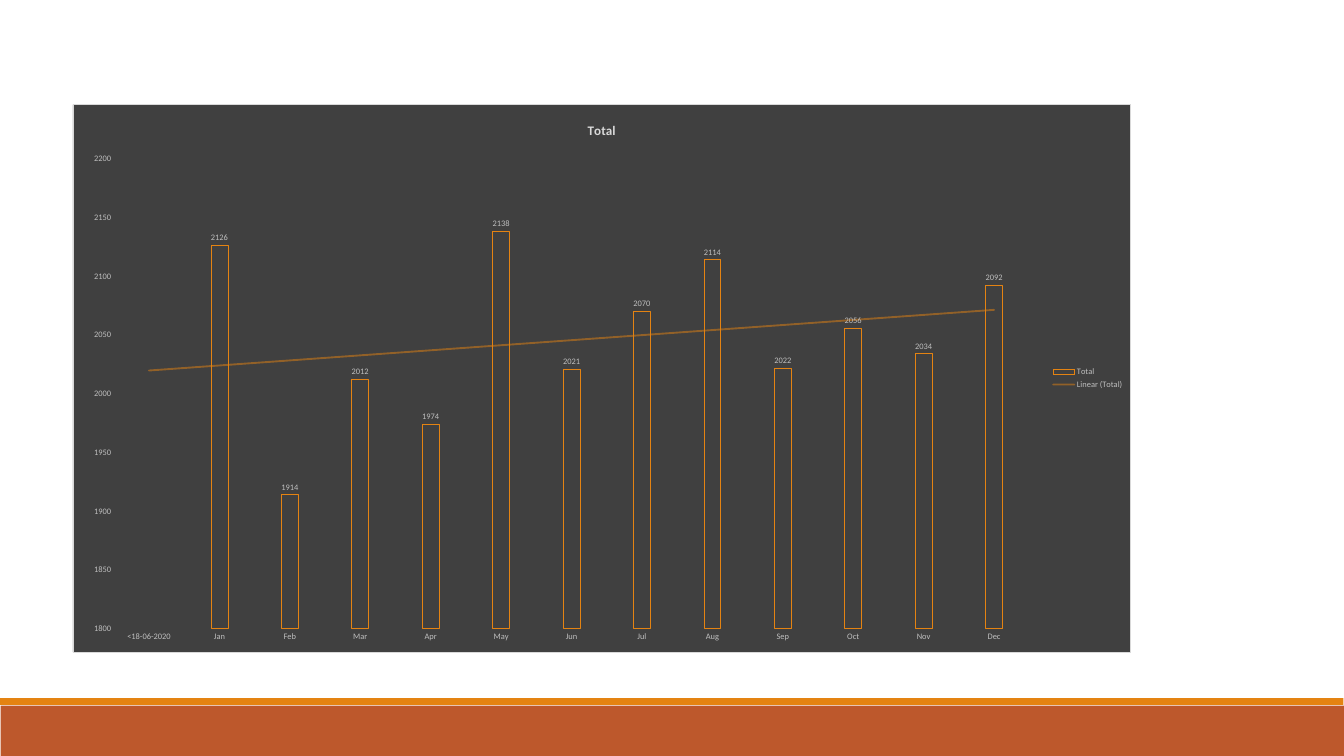
from dataclasses import dataclass

from lxml.etree import _Element
from pptx import Presentation
from pptx.chart.chart import Chart
from pptx.chart.data import CategoryChartData
from pptx.dml.color import RGBColor
from pptx.enum.chart import (XL_CHART_TYPE, XL_LABEL_POSITION,
                             XL_LEGEND_POSITION, XL_TICK_MARK)
from pptx.enum.shapes import MSO_SHAPE
from pptx.oxml import parse_xml
from pptx.oxml.ns import nsdecls, qn
from pptx.slide import Slide
from pptx.text.text import Font
from pptx.util import Inches, Pt


@dataclass(frozen=True)
class Theme:
    font: str = "Calibri"
    rust: str = "BD582C"
    orange: str = "E48312"
    panel: str = "404040"
    title: str = "D9D9D9"
    label: str = "BFBFBF"
    title_size: int = 14
    label_size: int = 9


@dataclass(frozen=True)
class Band:
    left: float
    top: float
    width: float
    height: float
    color: str


THEME = Theme()
BANDS = (
    Band(0.01, 10.5, 19.99, 0.75, THEME.rust),
    Band(0, 10.39, 19.99, 0.1, THEME.orange),
)
MONTHLY_TOTALS = {
    "<18-06-2020": None, "Jan": 2126, "Feb": 1914, "Mar": 2012, "Apr": 1974,
    "May": 2138, "Jun": 2021, "Jul": 2070, "Aug": 2114, "Sep": 2022,
    "Oct": 2056, "Nov": 2034, "Dec": 2092,
}


def add_band(slide: Slide, band: Band) -> None:
    shape = slide.shapes.add_shape(
        MSO_SHAPE.RECTANGLE, Inches(band.left), Inches(band.top),
        Inches(band.width), Inches(band.height))
    shape.shadow.inherit = False
    shape.fill.solid()
    shape.fill.fore_color.rgb = RGBColor.from_string(band.color)
    shape.line.fill.background()


def style_font(font: Font, size: int, color: str, bold: bool = False) -> None:
    font.name = THEME.font
    font.size = Pt(size)
    font.bold = bold
    font.color.rgb = RGBColor.from_string(color)


def chart_area() -> _Element:
    return parse_xml(
        f'<c:spPr {nsdecls("c", "a")}>'
        f'<a:solidFill><a:srgbClr val="{THEME.panel}"/></a:solidFill>'
        f'<a:ln w="{Pt(0.75)}"><a:solidFill><a:srgbClr val="{THEME.title}"/>'
        '</a:solidFill></a:ln></c:spPr>')


def linear_trend() -> _Element:
    return parse_xml(
        f'<c:trendline {nsdecls("c", "a")}><c:spPr><a:ln w="{Pt(2)}" cap="rnd">'
        f'<a:solidFill><a:srgbClr val="{THEME.orange}"><a:alpha val="50000"/>'
        '</a:srgbClr></a:solidFill><a:prstDash val="solid"/></a:ln></c:spPr>'
        '<c:trendlineType val="linear"/><c:dispRSqr val="0"/>'
        '<c:dispEq val="0"/></c:trendline>')


def style_axes(chart: Chart) -> None:
    for axis in (chart.category_axis, chart.value_axis):
        axis.major_tick_mark = axis.minor_tick_mark = XL_TICK_MARK.NONE
        axis.has_major_gridlines = False
        axis.format.line.fill.background()
        style_font(axis.tick_labels.font, THEME.label_size, THEME.label)
    chart.value_axis.minimum_scale = 1800
    chart.value_axis.maximum_scale = 2200
    chart.value_axis.major_unit = 50


def style_columns(chart: Chart) -> None:
    plot = chart.plots[0]
    plot.gap_width = 315
    plot.overlap = -40
    plot.vary_by_categories = False
    series = plot.series[0]
    series.format.fill.background()
    series.format.line.color.rgb = RGBColor.from_string(THEME.orange)
    series.format.line.width = Pt(0.75)
    labels = series.data_labels
    labels.show_value = True
    labels.position = XL_LABEL_POSITION.OUTSIDE_END
    style_font(labels.font, THEME.label_size, THEME.label)


def add_totals_chart(slide: Slide) -> None:
    data = CategoryChartData(number_format="General")
    data.categories = list(MONTHLY_TOTALS)
    data.add_series("Total", list(MONTHLY_TOTALS.values()))
    chart = slide.shapes.add_chart(
        XL_CHART_TYPE.COLUMN_CLUSTERED, Inches(1.08), Inches(1.55),
        Inches(15.75), Inches(8.16), data).chart
    style_font(chart.font, 10, "000000")

    chart.has_title = True
    title = chart.chart_title.text_frame
    title.text = "Total"
    style_font(title.paragraphs[0].runs[0].font, THEME.title_size,
               THEME.title, bold=True)

    chart.has_legend = True
    chart.legend.position = XL_LEGEND_POSITION.RIGHT
    chart.legend.include_in_layout = False
    style_font(chart.legend.font, THEME.label_size, THEME.label)

    style_axes(chart)
    style_columns(chart)
    chart_space = chart.element
    chart_space.find(qn("c:chart")).addnext(chart_area())
    next(chart_space.iter(qn("c:cat"))).addprevious(linear_trend())


def main() -> None:
    presentation = Presentation()
    presentation.slide_width = Inches(20)
    presentation.slide_height = Inches(11.25)
    slide = presentation.slides.add_slide(presentation.slide_layouts[6])
    for band in BANDS:
        add_band(slide, band)
    add_totals_chart(slide)
    presentation.save("out.pptx")


if __name__ == "__main__":
    main()
